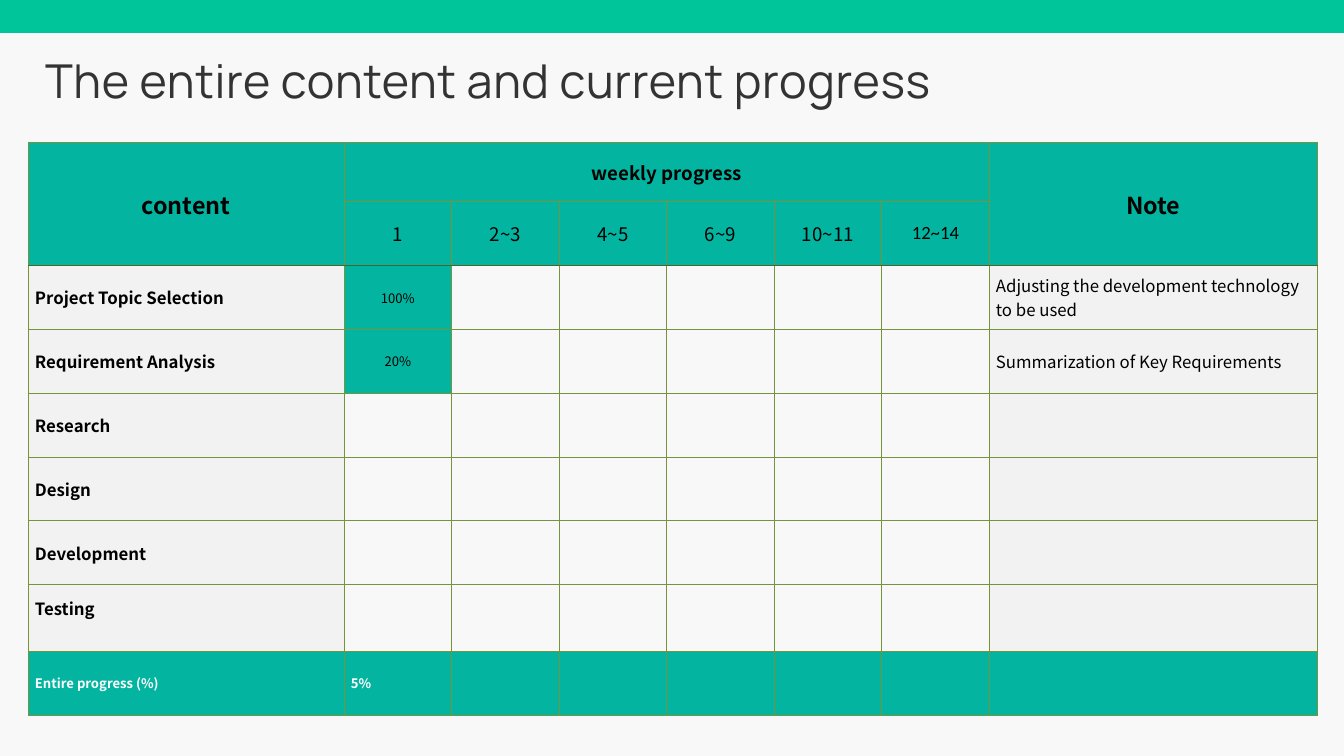
from dataclasses import dataclass

from lxml.etree import SubElement
from pptx import Presentation
from pptx.dml.color import RGBColor
from pptx.enum.shapes import MSO_SHAPE
from pptx.enum.text import MSO_ANCHOR, PP_ALIGN
from pptx.oxml.ns import qn
from pptx.slide import Slide
from pptx.table import Table, _Cell
from pptx.util import Inches, Pt

COLORS = {
    "background": "F8F8F8",
    "band": "00C49A",
    "title": "333333",
    "teal": "03B5A0",
    "grey": "F2F2F2",
    "border": "77933C",
    "header_border": "4F6228",
    "black": "000000",
    "white": "FFFFFF",
}
TABLE_FONT = "Noto Sans CJK KR"
COLUMN_WIDTHS = [4.7] + [1.6] * 6 + [4.88]
ROW_HEIGHTS = [0.88] + [0.95] * 6 + [0.99, 0.95]
HEADER_ROWS = 2
LAST_COLUMN = len(COLUMN_WIDTHS) - 1
LAST_ROW = len(ROW_HEIGHTS) - 1


@dataclass
class CellText:
    row: int
    column: int
    text: str
    size: int = 18
    bold: bool = False
    color: str = "black"
    font: str = TABLE_FONT
    align: PP_ALIGN = PP_ALIGN.LEFT
    bottom_margin: float = 0.05


@dataclass
class Task:
    name: str
    progress: str = ""
    note: str = ""
    bottom_margin: float = 0.05


WEEKS = ["1", "2~3", "4~5", "6~9", "10~11", "12~14"]
TASKS = [
    Task("Project Topic Selection", "100%", "Adjusting the development technology to be used"),
    Task("Requirement Analysis", "20%", "Summarization of Key Requirements"),
    Task("Research"),
    Task("Design"),
    Task("Development"),
    Task("Testing", bottom_margin=0.35),
]


def rgb(name: str) -> RGBColor:
    return RGBColor.from_string(COLORS[name])


def apply_font(font, formats: dict) -> None:
    for attribute, value in formats.items():
        setattr(font, attribute, value)


def add_band(slide: Slide) -> None:
    band = slide.shapes.add_shape(MSO_SHAPE.RECTANGLE, 0, 0, Inches(20), Inches(0.49))
    band.shadow.inherit = False
    band.fill.solid()
    band.fill.fore_color.rgb = rgb("band")
    band.line.fill.background()


def add_title(slide: Slide, text: str) -> None:
    box = slide.shapes.add_textbox(Inches(0.67), Inches(1.21), Inches(15.89), Inches(0.5))
    frame = box.text_frame
    frame.word_wrap = True
    for side in ("left", "top", "right", "bottom"):
        setattr(frame, f"margin_{side}", 0)
    paragraph = frame.paragraphs[0]
    paragraph.line_spacing = Pt(28.8)
    run = paragraph.add_run()
    run.text = text
    apply_font(run.font, {"name": "Manrope", "size": Pt(50)})
    run.font.color.rgb = rgb("title")
    run.font._element.set("spc", "70")


def fill_name(row: int, column: int) -> str | None:
    if row < HEADER_ROWS or row == LAST_ROW:
        return "teal"
    if column in (0, LAST_COLUMN):
        return "grey"
    if column == 1 and TASKS[row - HEADER_ROWS].progress:
        return "teal"
    return None


def set_borders(cell: _Cell, colors: dict[str, str]) -> None:
    properties = cell._tc.get_or_add_tcPr()
    for index, (side, color) in enumerate(colors.items()):
        line = SubElement(properties, qn(f"a:ln{side}"), w=str(Pt(1)))
        fill = SubElement(line, qn("a:solidFill"))
        SubElement(fill, qn("a:srgbClr"), val=COLORS[color])
        properties.insert(index, line)


def style_cell(cell: _Cell, row: int, column: int) -> None:
    fill = fill_name(row, column)
    if fill:
        cell.fill.solid()
        cell.fill.fore_color.rgb = rgb(fill)
    else:
        cell.fill.background()
    # A darker line separates the header from the tasks
    spans_header = row == 0 and column in (0, LAST_COLUMN)
    above_tasks = row == HEADER_ROWS - 1 or spans_header
    set_borders(cell, {
        "L": "border",
        "R": "border",
        "T": "header_border" if row == HEADER_ROWS else "border",
        "B": "header_border" if above_tasks else "border",
    })


def write_cell(table: Table, item: CellText) -> None:
    cell = table.cell(item.row, item.column)
    cell.vertical_anchor = MSO_ANCHOR.MIDDLE
    cell.margin_bottom = Inches(item.bottom_margin)
    paragraph = cell.text_frame.paragraphs[0]
    paragraph.alignment = item.align
    run = paragraph.add_run()
    run.text = item.text
    apply_font(run.font, {"name": item.font, "size": Pt(item.size), "bold": item.bold})
    run.font.color.rgb = rgb(item.color)


def table_texts() -> list[CellText]:
    center = PP_ALIGN.CENTER
    texts = [
        CellText(0, 0, "content", 25, True, align=center),
        CellText(0, 1, "weekly progress", 20, True, align=center),
        CellText(0, LAST_COLUMN, "Note", 25, True, align=center),
        CellText(LAST_ROW, 0, "Entire progress (%)", 14, True, "white"),
        CellText(LAST_ROW, 1, "5%", 14, True, "white"),
    ]
    for column, week in enumerate(WEEKS, start=1):
        font = "Calibri" if column == len(WEEKS) else TABLE_FONT
        texts.append(CellText(1, column, week, 20, font=font, align=center))
    for row, task in enumerate(TASKS, start=HEADER_ROWS):
        texts.append(CellText(row, 0, task.name, bold=True, bottom_margin=task.bottom_margin))
        if task.progress:
            texts.append(CellText(row, 1, task.progress, 14, align=center))
        if task.note:
            texts.append(CellText(row, LAST_COLUMN, task.note))
    return texts


def add_progress_table(slide: Slide) -> None:
    table = slide.shapes.add_table(
        len(ROW_HEIGHTS), len(COLUMN_WIDTHS),
        Inches(0.42), Inches(2.12), Inches(sum(COLUMN_WIDTHS)), Inches(sum(ROW_HEIGHTS)),
    ).table
    table.first_row = False
    table.horz_banding = False
    for column, width in zip(table.columns, COLUMN_WIDTHS):
        column.width = Inches(width)
    for row, height in zip(table.rows, ROW_HEIGHTS):
        row.height = Inches(height)
    for row in range(len(ROW_HEIGHTS)):
        for column in range(len(COLUMN_WIDTHS)):
            style_cell(table.cell(row, column), row, column)
    # Header spans
    for column in (0, LAST_COLUMN):
        table.cell(0, column).merge(table.cell(1, column))
    table.cell(0, 1).merge(table.cell(0, LAST_COLUMN - 1))
    for item in table_texts():
        write_cell(table, item)


def main() -> None:
    presentation = Presentation()
    presentation.slide_width = Inches(20)
    presentation.slide_height = Inches(11.25)
    slide = presentation.slides.add_slide(presentation.slide_layouts[6])
    slide.background.fill.solid()
    slide.background.fill.fore_color.rgb = rgb("background")
    add_band(slide)
    add_title(slide, "The entire content and current progress")
    add_progress_table(slide)
    presentation.save("out.pptx")


if __name__ == "__main__":
    main()
